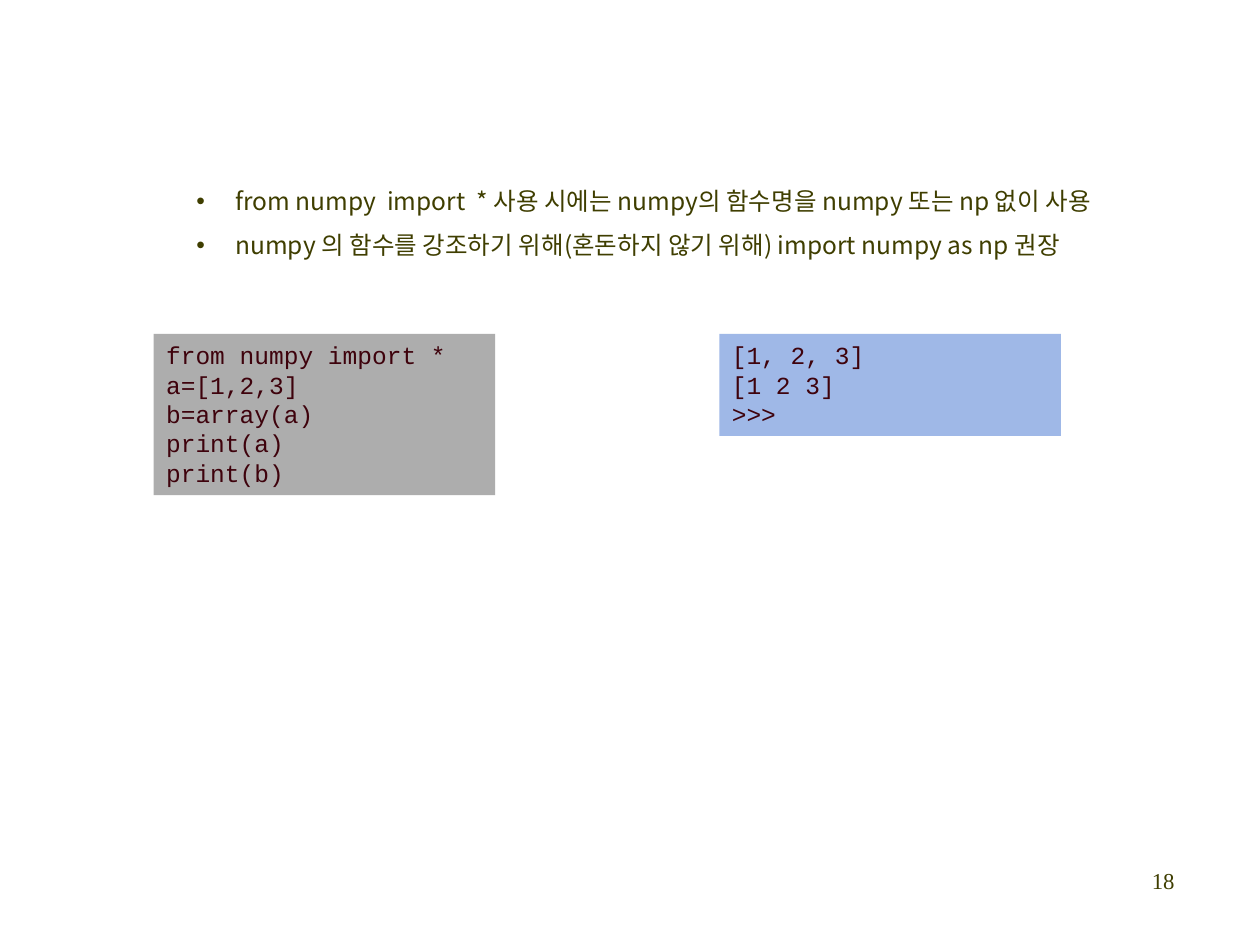
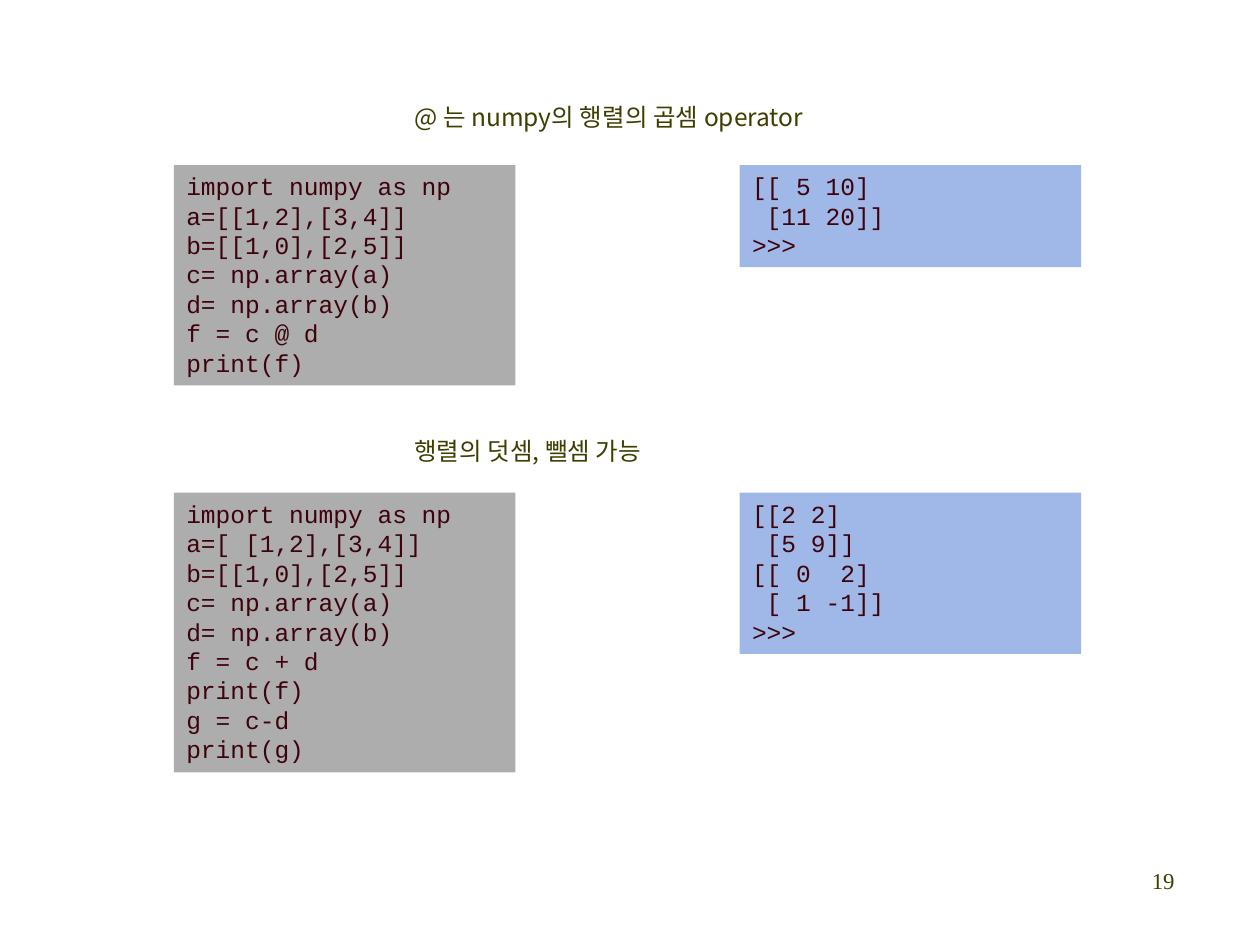
from pptx import Presentation
from pptx.dml.color import RGBColor as Rgb
from pptx.enum.shapes import MSO_SHAPE as Kind
from pptx.enum.text import MSO_ANCHOR as Anchor, MSO_AUTO_SIZE as Fit, PP_ALIGN as Align
from pptx.oxml.ns import qn
from pptx.util import Inches, Pt
from lxml.etree import SubElement as Sub

INK = {"note": "3F3E00", "code": "3E020C", "gray": "ADADAD", "blue": "9FB8E7"}
SANS, MONO, SERIF = "Noto Sans CJK KR", "Courier New", "Times New Roman"
WIDE, HIGH = Inches(10), Inches(7.5)
COL, ROW = WIDE / 100, HIGH / 75
LINE, PAD = 2.35, 1.05
SPAN, STEP = 27.1, 44.9


def place(x, y, w, h):
    """Turn grid columns and rows into slide lengths."""
    return round(x * COL), round(y * ROW), round(w * COL), round(h * ROW)


def write(shape, text, font=SANS, size=14, ink="note", align=Align.LEFT,
          space=None, bullet=False):
    """Fill a shape with one paragraph for each line of text."""
    frame = shape.text_frame
    frame.word_wrap = True
    frame.auto_size = Fit.NONE
    frame.vertical_anchor = Anchor.TOP
    for i, line in enumerate(text.split("\n")):
        para = frame.paragraphs[0] if i == 0 else frame.add_paragraph()
        para.alignment = align
        if space:
            para.line_spacing = space
        if bullet:
            props = para._p.get_or_add_pPr()
            props.set("marL", str(Inches(0.31)))
            props.set("indent", str(-Inches(0.31)))
            Sub(props, qn("a:buFont"), typeface="Arial")
            Sub(props, qn("a:buChar"), char="•")
        run = para.add_run()
        run.text = line
        run.font.name, run.font.size = font, Pt(size)
        run.font.color.rgb = Rgb.from_string(INK[ink])
        Sub(run._r.get_or_add_rPr(), qn("a:ea"), typeface=font)


def note(slide, box, text, **style):
    """Add a text box on the grid."""
    write(slide.shapes.add_textbox(*place(*box)), text, **style)


def panel(slide, x, y, text, fill):
    """Add a filled listing whose height follows its line count."""
    rows = LINE * len(text.split("\n")) + PAD
    rect = slide.shapes.add_shape(Kind.RECTANGLE, *place(x, y, SPAN, rows))
    rect.shadow.inherit = False
    rect.fill.solid()
    rect.fill.fore_color.rgb = Rgb.from_string(INK[fill])
    rect.line.fill.background()
    write(rect, text, font=MONO, ink="code")


def demo(slide, x, y, code, result):
    """Set a code listing beside its output."""
    panel(slide, x, y, code, "gray")
    panel(slide, x + STEP, y, result, "blue")


def page(deck, num):
    """Add a blank slide with its page number."""
    slide = deck.slides.add_slide(deck.slide_layouts[6])
    note(slide, (88.6, 68.3, 5.6, 5), str(num), font=SERIF, size=13, align=Align.RIGHT)
    return slide


def usage(deck):
    """Build the slide on import styles."""
    slide = page(deck, 18)
    note(slide, (14.6, 13.1, 77.3, 7.5),
         "from numpy  import  * 사용 시에는 numpy의 함수명을 numpy 또는 np 없이 사용\n"
         "numpy 의 함수를 강조하기 위해(혼돈하지 않기 위해) import numpy as np 권장",
         space=1.5, bullet=True)
    demo(slide, 12.2, 26.5,
         "from numpy import *\na=[1,2,3]\nb=array(a)\nprint(a)\nprint(b)",
         "[1, 2, 3]\n[1 2 3]\n>>>")


def matrix(deck):
    """Build the slide on matrix operators."""
    slide = page(deck, 19)
    left = 13.8
    setup = "c= np.array(a)\nd= np.array(b)\n"
    parts = [
        (13.1, 5.5, 34.2, "@ 는 numpy의 행렬의 곱셈 operator",
         "a=[[1,2],[3,4]]", "f = c @ d\nprint(f)",
         "[[ 5 10]\n [11 20]]\n>>>"),
        (39.1, 5, 22.2, "행렬의 덧셈, 뺄셈 가능",
         "a=[ [1,2],[3,4]]", "f = c + d\nprint(f)\ng = c-d\nprint(g)",
         "[[2 2]\n [5 9]]\n[[ 0  2]\n [ 1 -1]]\n>>>"),
    ]
    for top, rise, width, title, first, last, result in parts:
        code = f"import numpy as np\n{first}\nb=[[1,0],[2,5]]\n{setup}{last}"
        demo(slide, left, top, code, result)
        note(slide, (left + 18.1, top - rise, width, 3.4), title)


def main():
    """Build and save the deck."""
    deck = Presentation()
    deck.slide_width, deck.slide_height = WIDE, HIGH
    usage(deck)
    matrix(deck)
    deck.save("out.pptx")


if __name__ == "__main__":
    main()
